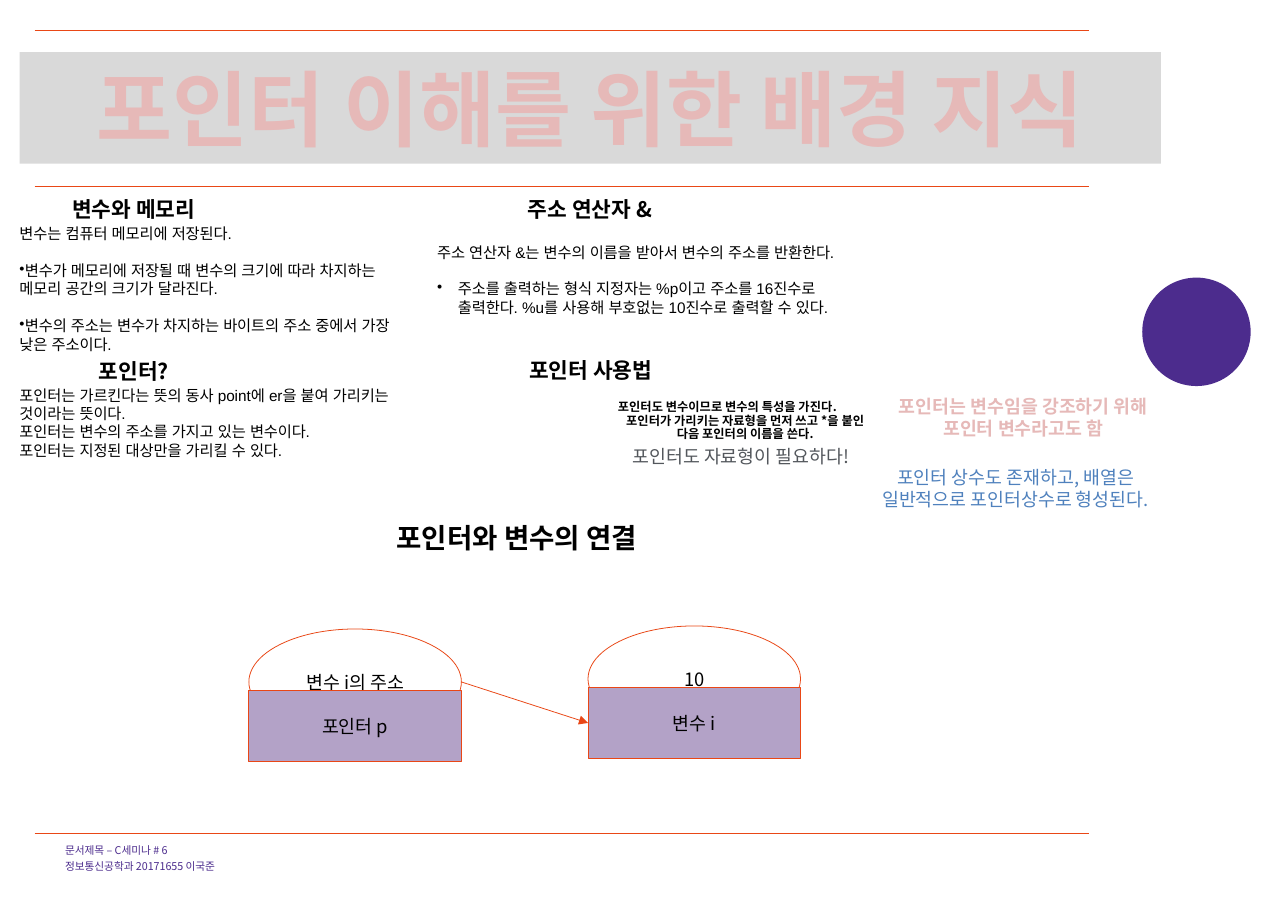
import pptx
import pptx.util
import pptx.dml.color
import pptx.enum.shapes
import pptx.enum.text
import pptx.oxml.ns
import lxml.etree

Cm = pptx.util.Cm
Pt = pptx.util.Pt
RGBColor = pptx.dml.color.RGBColor
Kind = pptx.enum.shapes.MSO_SHAPE
Align = pptx.enum.text.PP_ALIGN
Anchor = pptx.enum.text.MSO_ANCHOR
qn = pptx.oxml.ns.qn

BLACK = RGBColor(0x00, 0x00, 0x00)
ORANGE = RGBColor(0xE9, 0x47, 0x16)
PURPLE = RGBColor(0x4C, 0x2C, 0x8D)
LILAC = RGBColor(0xB3, 0xA2, 0xC7)
PINK = RGBColor(0xE6, 0xB9, 0xB8)
BLUE = RGBColor(0x4F, 0x81, 0xBD)
SLATE = RGBColor(0x53, 0x57, 0x5C)
GREY = RGBColor(0xD9, 0xD9, 0xD9)
NOTO = "Noto Sans CJK KR"
MID = Align.CENTER


def write(shape, lines, size, color=BLACK, bold=False, align=MID, name=NOTO,
          pitch=None, gap=0, hang=0, inset=True, wrap=True, anchor=Anchor.TOP):
    """Fill a shape with paragraphs; a leading bullet sign becomes a real bullet."""
    frame = shape.text_frame
    frame.auto_size = pptx.enum.text.MSO_AUTO_SIZE.NONE
    frame.word_wrap = wrap
    frame.vertical_anchor = anchor
    if not inset:
        frame.margin_left = frame.margin_right = 0
        frame.margin_top = frame.margin_bottom = 0
    for row, text in enumerate(lines):
        par = frame.paragraphs[0] if row == 0 else frame.add_paragraph()
        par.text = text.lstrip("•")
        par.alignment = align
        par.space_before = Pt(gap if row else 0)
        if pitch:
            par.line_spacing = Pt(pitch)
        props = par._p.get_or_add_pPr()
        if text.startswith("•"):
            props.set("marL", str(Cm(hang)))
            props.set("indent", str(-Cm(hang)))
            lxml.etree.SubElement(props, qn("a:buChar")).set("char", "•")
        else:
            props.set("marL", "0")
            props.set("indent", "0")
            lxml.etree.SubElement(props, qn("a:buNone"))
        font = par.font
        font.size = Pt(size)
        font.bold = bold
        font.name = name
        font.color.rgb = color
        east = lxml.etree.SubElement(props.find(qn("a:defRPr")), qn("a:ea"))
        east.set("typeface", name)


def rule(x1, y1, x2, y2, width):
    line = shapes.add_connector(pptx.enum.shapes.MSO_CONNECTOR.STRAIGHT,
                                Cm(x1), Cm(y1), Cm(x2), Cm(y2))
    line.line.color.rgb = ORANGE
    line.line.width = Pt(width)
    lxml.etree.SubElement(line._element.spPr, qn("a:effectLst"))
    return line


deck = pptx.Presentation()
deck.slide_width, deck.slide_height = Cm(29.7), Cm(21)
slide = deck.slides.add_slide(deck.slide_layouts[1])
shapes = slide.shapes

# Frame of the page
for y in (0.7, 4.29, 19.2):
    rule(0.8, y, 25.1, y, 0.3)
disc = shapes.add_shape(Kind.OVAL, Cm(26.34), Cm(6.4), Cm(2.5), Cm(2.5))
disc.shadow.inherit = False
disc.fill.solid()
disc.fill.fore_color.rgb = PURPLE
disc.line.fill.background()

title = shapes.title
title.left, title.top, title.width, title.height = Cm(0.45), Cm(1.2), Cm(26.32), Cm(2.57)
title.fill.solid()
title.fill.fore_color.rgb = GREY
write(title, ["포인터 이해를 위한 배경 지식"], 54, PINK, True, wrap=False, anchor=Anchor.MIDDLE)

foot = slide.placeholders[1]
foot.left, foot.top, foot.width, foot.height = Cm(1.5), Cm(19.43), Cm(23.6), Cm(0.71)
write(foot, ["문서제목 – C세미나 # 6", "정보통신공학과 20171655 이국준"], 7, PURPLE,
      align=Align.LEFT, pitch=9, gap=1.4, inset=False)

# Section headings
heads = [
    ("변수와 메모리", 0.94, 4.8, 4.29, 14),
    ("주소 연산자 &", 11.46, 4.8, 4.29, 14),
    ("포인터?", 0.94, 8.53, 4.29, 14),
    ("포인터 사용법", 11.48, 8.51, 4.29, 14),
    ("포인터와 변수의 연결", 8.59, 12.45, 6.65, 18),
]
for text, x, y, width, size in heads:
    head = shapes.add_textbox(Cm(x), Cm(y), Cm(width), Cm(0.4))
    write(head, [text], size, bold=True, pitch=9, inset=False)

# Explanations under the headings
notes = [
    (0.45, 5.16, 3, 12, 0, [
        "변수는 컴퓨터 메모리에 저장된다.",
        "•변수가 메모리에 저장될 때 변수의 크기에 따라 차지하는 메모리 공간의 크기가 달라진다.",
        "•변수의 주소는 변수가 차지하는 바이트의 주소 중에서 가장 낮은 주소이다."]),
    (10.08, 5.16, 2.57, 12, 0.48, [
        "주소 연산자 &는 변수의 이름을 받아서 변수의 주소를 반환한다.",
        "•주소를 출력하는 형식 지정자는 %p이고 주소를 16진수로 출력한다. "
        "%u를 사용해 부호없는 10진수로 출력할 수 있다."]),
    (0.45, 8.89, 1.7, 0, 0, [
        "포인터는 가르킨다는 뜻의 동사 point에 er을 붙여 가리키는 것이라는 뜻이다.",
        "포인터는 변수의 주소를 가지고 있는 변수이다.",
        "포인터는 지정된 대상만을 가리킬 수 있다."]),
]
for x, y, height, gap, hang, lines in notes:
    note = shapes.add_textbox(Cm(x), Cm(y), Cm(9.14), Cm(height))
    write(note, lines, 10, align=Align.LEFT, name="Arial", gap=gap, hang=hang,
          inset=False, anchor=Anchor.MIDDLE)

usage = shapes.add_textbox(Cm(14.25), Cm(9.22), Cm(5.87), Cm(0.97))
write(usage, ["포인터도 변수이므로 변수의 특성을 가진다.",
              "포인터가 가리키는 자료형을 먼저 쓰고 *을 붙인 다음 포인터의 이름을 쓴다."],
      8, bold=True, pitch=9, inset=False)
usage.text_frame.paragraphs[0].alignment = Align.LEFT

# Pointer and variable
nodes = []
for x, y, value, label in ((13.56, 14.43, "10", "변수 i"),
                           (5.74, 14.5, "변수 i의 주소", "포인터 p")):
    for kind, top, height, text in ((Kind.OVAL, y, 2.44, value),
                                    (Kind.RECTANGLE, y + 1.42, 1.63, label)):
        node = shapes.add_shape(kind, Cm(x), Cm(top), Cm(4.9), Cm(height))
        node.shadow.inherit = False
        if kind == Kind.RECTANGLE:
            node.fill.solid()
            node.fill.fore_color.rgb = LILAC
        else:
            node.fill.background()
        node.line.color.rgb = ORANGE
        node.line.width = Pt(0.5)
        write(node, [text], 12, anchor=Anchor.MIDDLE)
        nodes.append(node)

arrow = rule(10.64, 15.72, 13.56, 16.67, 0.5)
arrow.end_connect(nodes[1], 1)
tail = lxml.etree.SubElement(arrow.line._get_or_add_ln(), qn("a:tailEnd"))
tail.set("type", "triangle")

# Remarks on the right
remarks = [
    (14.05, 10.13, 6.07, 0.76, SLATE, False, ["포인터도 자료형이 필요하다!"]),
    (20.12, 8.99, 6.96, 1.27, PINK, True,
     ["포인터는 변수임을 강조하기 위해", "포인터 변수라고도 함"]),
    (19.76, 10.62, 7.32, 1.27, BLUE, False,
     ["포인터 상수도 존재하고, 배열은", "일반적으로 포인터상수로 형성된다."]),
]
for x, y, width, height, color, bold, lines in remarks:
    remark = shapes.add_textbox(Cm(x), Cm(y), Cm(width), Cm(height))
    write(remark, lines, 12, color, bold, wrap=False)

deck.save("out.pptx")
